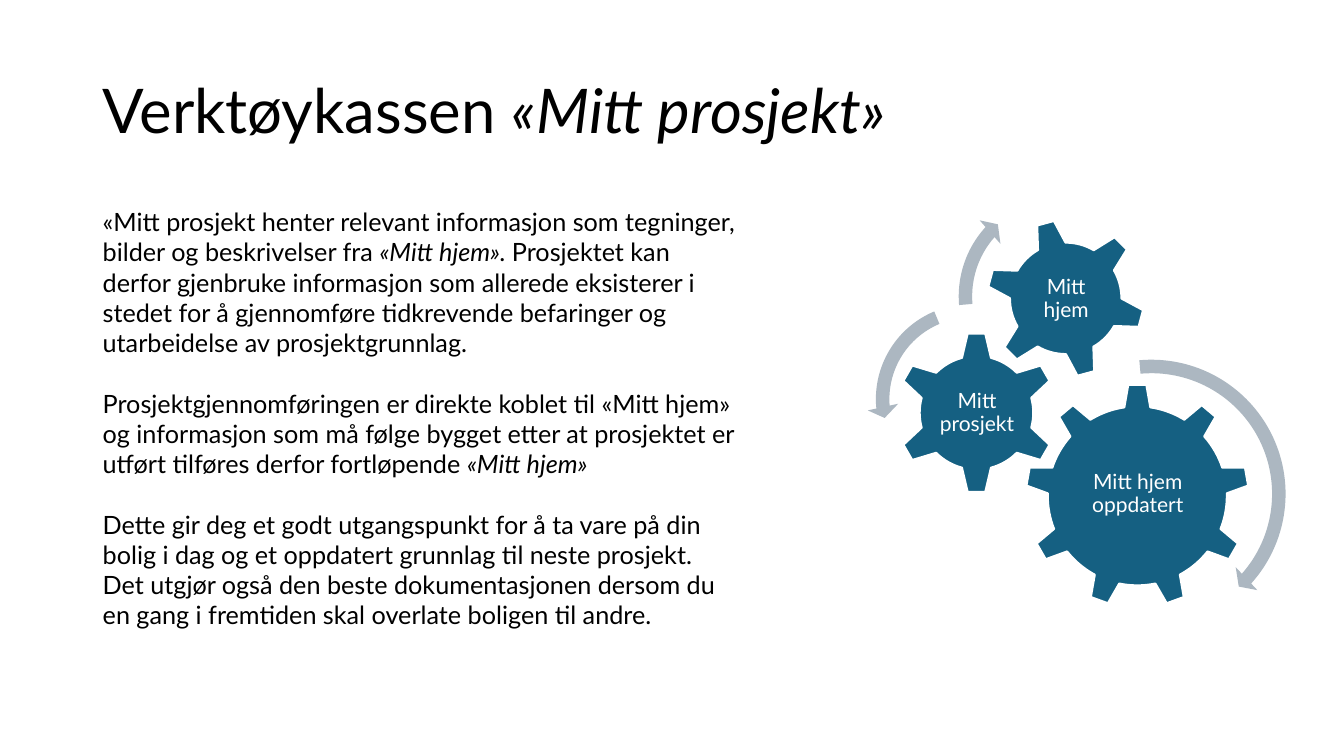
from pptx import Presentation
from pptx.dml.color import RGBColor
from pptx.enum.shapes import MSO_SHAPE as Preset
from pptx.enum.text import MSO_ANCHOR as Anchor, PP_ALIGN as Align
from pptx.util import Inches, Pt

COLORS = {"text": "000000", "gear": "156082", "white": "FFFFFF", "arrow": "ACB7C1"}
FONT = "Lato"

BODY = [
    [("«Mitt prosjekt henter relevant informasjon som tegninger, bilder og "
      "beskrivelser fra ", False),
     ("«Mitt hjem». ", True),
     ("Prosjektet kan derfor gjenbruke informasjon som allerede eksisterer i stedet "
      "for å gjennomføre tidkrevende befaringer og utarbeidelse av prosjektgrunnlag.",
      False)],
    [("Prosjektgjennomføringen er direkte koblet til «Mitt hjem» og informasjon som må "
      "følge bygget etter at prosjektet er utført tilføres derfor fortløpende ", False),
     ("«Mitt hjem»", True)],
    [("Dette gir deg et godt utgangspunkt for å ta vare på din bolig i dag og et "
      "oppdatert grunnlag til neste prosjekt. Det utgjør også den beste "
      "dokumentasjonen dersom du en gang i fremtiden skal overlate boligen til andre.",
      False)],
]

GEARS = [
    (Preset.GEAR_9_, 10.17, 3.81, 2.22, 0, "Mitt hjem oppdatert", (10.62, 4.33, 1.33, 1.14)),
    (Preset.GEAR_6, 8.88, 3.29, 1.61, 0, "Mitt prosjekt", (9.29, 3.7, 0.8, 0.8)),
    (Preset.GEAR_6, 9.78, 2.17, 1.58, 345, "Mitt hjem", (10.13, 2.52, 0.89, 0.89)),
] if hasattr(Preset, "GEAR_9_") else [
    (Preset.GEAR_9, 10.17, 3.81, 2.22, 0, "Mitt hjem oppdatert", (10.62, 4.33, 1.33, 1.14)),
    (Preset.GEAR_6, 8.88, 3.29, 1.61, 0, "Mitt prosjekt", (9.29, 3.7, 0.8, 0.8)),
    (Preset.GEAR_6, 9.78, 2.17, 1.58, 345, "Mitt hjem", (10.13, 2.52, 0.89, 0.89)),
]

ARROWS = [
    (Preset.CIRCULAR_ARROW, 10, 3.48, 2.84, (4.7, 5.5), (4.98, 41.72, 264.84)),
    (Preset.LEFT_CIRCULAR_ARROW, 8.6, 2.93, 2.06, (6.5, 7.5), (7.17, 174.82, 247.3)),
    (Preset.CIRCULAR_ARROW, 9.42, 1.83, 2.22, (6, 7), (6.57, 221.9, 175.14)),
]


def color(name):
    return RGBColor.from_string(COLORS[name])


def add_text(slide, box, paragraphs, size, fill="text", align=Align.LEFT,
             anchor=Anchor.TOP, spacing=1.0, gap=0, inset=None):
    frame = slide.shapes.add_textbox(*map(Inches, box)).text_frame
    frame.word_wrap = True
    frame.vertical_anchor = anchor
    if inset is not None:
        frame.margin_left = frame.margin_right = Inches(inset)
        frame.margin_top = frame.margin_bottom = Inches(inset)
    for index, runs in enumerate(paragraphs):
        paragraph = frame.add_paragraph() if index else frame.paragraphs[0]
        paragraph.alignment = align
        paragraph.line_spacing = spacing
        paragraph.space_before = Pt(gap if index else 0)
        for text, italic in runs:
            run = paragraph.add_run()
            run.text = text
            run.font.name = FONT
            run.font.size = Pt(size)
            run.font.italic = italic
            run.font.color.rgb = color(fill)


def add_preset(slide, preset, left, top, size, fill):
    shape = slide.shapes.add_shape(preset, *map(Inches, (left, top, size, size)))
    shape.shadow.inherit = False
    shape.fill.solid()
    shape.fill.fore_color.rgb = color(fill)
    return shape


def add_gear(slide, preset, left, top, size, rotation, label, label_box):
    gear = add_preset(slide, preset, left, top, size, "gear")
    gear.rotation = rotation
    gear.line.color.rgb = color("white")
    gear.line.width = Pt(1.5)
    add_text(slide, label_box, [[(label, False)]], 15, fill="white",
             align=Align.CENTER, anchor=Anchor.MIDDLE, spacing=0.9, inset=0.02)


def add_arrow(slide, preset, left, top, size, percents, degrees):
    arrow = add_preset(slide, preset, left, top, size, "arrow")
    arrow.line.fill.background()
    thickness, head = (percent / 100 for percent in percents)
    angles = [degree * 60000 / 100000 for degree in degrees]
    for index, value in enumerate([thickness, *angles, head]):
        arrow.adjustments[index] = value


def main():
    presentation = Presentation()
    presentation.slide_width = Inches(13.33)
    presentation.slide_height = Inches(7.5)
    slide = presentation.slides.add_slide(presentation.slide_layouts[6])
    add_text(slide, (0.92, 0.4, 11.5, 1.45),
             [[("Verktøykassen ", False), ("«Mitt prosjekt»", True)]], 44,
             anchor=Anchor.MIDDLE, spacing=0.9)
    for gear in GEARS:
        add_gear(slide, *gear)
    for arrow in ARROWS:
        add_arrow(slide, *arrow)
    add_text(slide, (0.92, 2, 6.48, 4.34), BODY, 18, gap=21.6)
    presentation.save("out.pptx")


if __name__ == "__main__":
    main()
